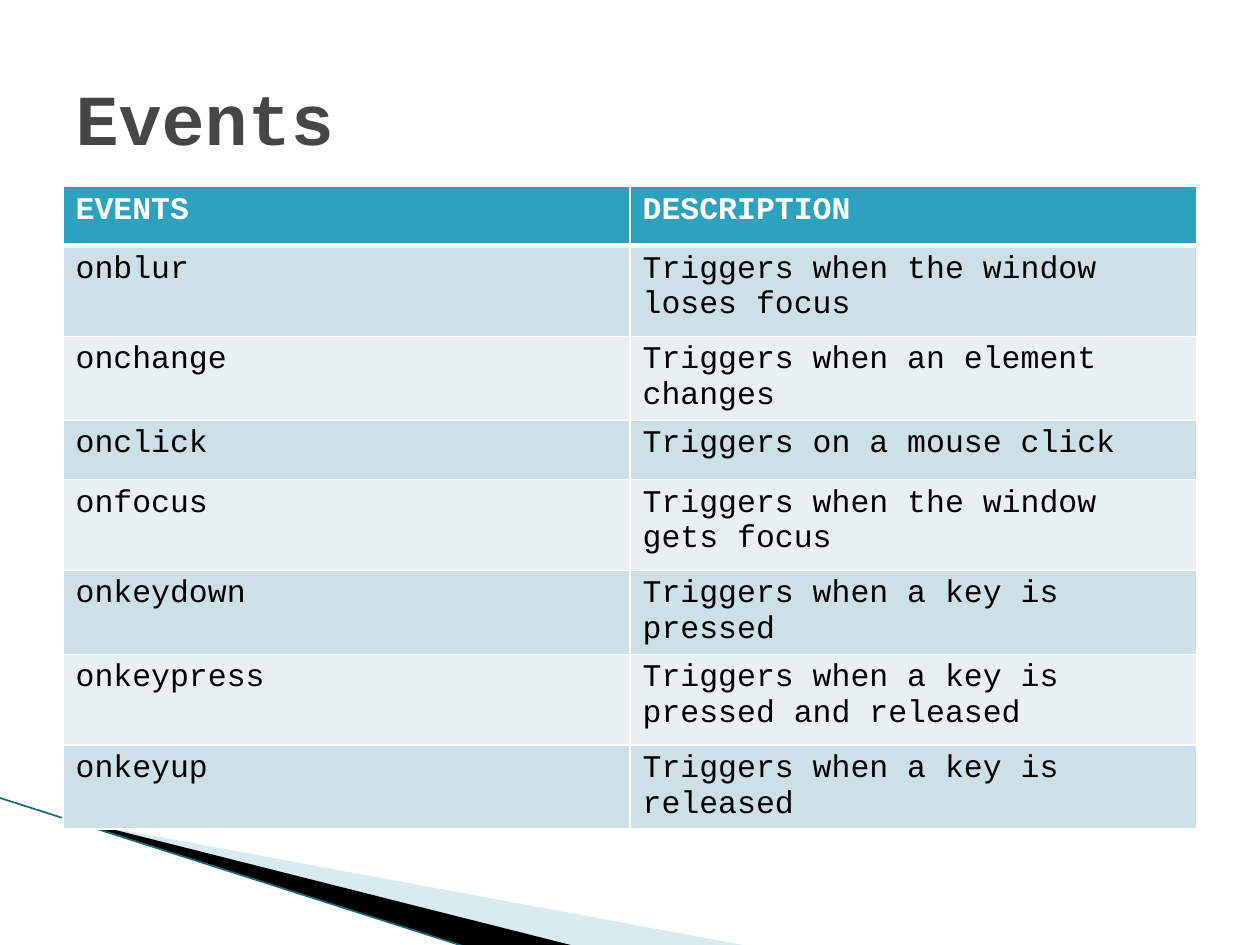
from dataclasses import dataclass

from lxml import etree
from pptx import Presentation
from pptx.dml.color import RGBColor
from pptx.enum.shapes import MSO_CONNECTOR
from pptx.enum.text import MSO_ANCHOR, PP_ALIGN
from pptx.oxml.ns import qn
from pptx.util import Inches, Pt

STRAIGHT = MSO_CONNECTOR.STRAIGHT
MIDDLE, LEFT = MSO_ANCHOR.MIDDLE, PP_ALIGN.LEFT
TITLE_ONLY = 5


@dataclass(frozen=True)
class Theme:
    font: str = "Courier New"
    title_size: float = 41
    body_size: float = 18
    title: str = "464646"
    text: str = "000000"
    white: str = "FFFFFF"
    header: str = "2DA2BF"
    bands: tuple = ("CDE0E8", "E8F0F4")
    pale_wedge: str = "A0CBDC"
    dark_wedge: str = "000000"
    edge: str = "16697C"


THEME = Theme()
MARGIN, CONTENT_W = 0.5, 9
TABLE_TOP = 1.48
SHORT, TALL = 0.47, 0.72

# Event, description, row height
EVENTS = [
    ("onblur", "Triggers when the window loses focus", TALL),
    ("onchange", "Triggers when an element changes", SHORT),
    ("onclick", "Triggers on a mouse click", SHORT),
    ("onfocus", "Triggers when the window gets focus", TALL),
    ("onkeydown", "Triggers when a key is pressed", SHORT),
    ("onkeypress", "Triggers when a key is pressed and released", TALL),
    ("onkeyup", "Triggers when a key is released", SHORT),
]


def rgb(color):
    return RGBColor.from_string(color)


def write(tf, text, size=THEME.body_size, color=THEME.text, bold=False):
    p = tf.paragraphs[0]
    p.alignment = LEFT
    r = p.add_run()
    r.text = text
    r.font.name = THEME.font
    r.font.size = Pt(size)
    r.font.bold = bold
    r.font.color.rgb = rgb(color)


def set_frame(sp, frame):
    """Give a freeform its own frame; the outline may reach past it."""
    left, top, width, height = map(Inches, frame)
    dx, dy = sp.left - left, sp.top - top
    for outline in sp._element.iter(qn("a:path")):
        outline.set("w", str(width))
        outline.set("h", str(height))
        for pt in outline.iter(qn("a:pt")):
            pt.set("x", str(int(pt.get("x")) + dx))
            pt.set("y", str(int(pt.get("y")) + dy))
    sp.left, sp.top, sp.width, sp.height = left, top, width, height


def add_wedge(s, frame, points, color, alpha=None):
    pts = [(Inches(x), Inches(y)) for x, y in points]
    builder = s.shapes.build_freeform(*pts[0])
    builder.add_line_segments(pts[1:], close=True)
    sp = builder.convert_to_shape()
    set_frame(sp, frame)
    sp.shadow.inherit = False
    sp.fill.solid()
    sp.fill.fore_color.rgb = rgb(color)
    sp.line.fill.background()
    if alpha is not None:
        clr = sp.fill._xPr.find(qn("a:solidFill"))[0]
        etree.SubElement(clr, qn("a:alpha"), val=str(alpha * 1000))


def add_edge(s, start, end, color, width):
    line = s.shapes.add_connector(STRAIGHT, *map(Inches, start + end))
    line.line.color.rgb = rgb(color)
    line.line.width = Pt(width)
    etree.SubElement(line._element.spPr, qn("a:effectLst"))


def set_borders(cell, color, **widths):
    """Draw the named sides; borders come before the fill in tcPr."""
    tc_pr = cell._tc.get_or_add_tcPr()
    for i, (side, width) in enumerate(widths.items()):
        ln = etree.Element(qn(f"a:ln{side}"), w=str(Pt(width)))
        fill = etree.SubElement(ln, qn("a:solidFill"))
        etree.SubElement(fill, qn("a:srgbClr"), val=color)
        tc_pr.insert(i, ln)


def add_title(s, text):
    sp = s.shapes.title
    sp.left, sp.top = Inches(MARGIN), Inches(0.3)
    sp.width, sp.height = Inches(CONTENT_W), Inches(1.25)
    sp.text_frame.vertical_anchor = MIDDLE
    write(sp.text_frame, text, size=THEME.title_size, color=THEME.title,
          bold=True)


def add_events_table(s):
    rows = [("EVENTS", "DESCRIPTION", SHORT)] + EVENTS
    height = sum(row[-1] for row in rows)
    table = s.shapes.add_table(
        len(rows), 2, Inches(MARGIN), Inches(TABLE_TOP),
        Inches(CONTENT_W), Inches(height)).table
    for i, (*texts, row_h) in enumerate(rows):
        header = i == 0
        # A thicker rule parts the header from the first event
        top, bottom = (3 if i == 1 else 1), (3 if header else 1)
        table.rows[i].height = Inches(row_h)
        for cell, text in zip(table.rows[i].cells, texts):
            cell.fill.solid()
            cell.fill.fore_color.rgb = rgb(
                THEME.header if header else THEME.bands[(i - 1) % 2])
            set_borders(cell, THEME.white, L=1, R=1, T=top, B=bottom)
            write(cell.text_frame, text, bold=header,
                  color=THEME.white if header else THEME.text)


def main():
    prs = Presentation()
    prs.slide_width, prs.slide_height = Inches(10), Inches(7.5)
    s = prs.slides.add_slide(prs.slide_layouts[TITLE_ONLY])

    # Corner decoration
    add_wedge(s, (0.78, 5.47, 4.16, 1.58),
              [(0.55, 6.51), (5.95, 7.51), (4.56, 7.51), (0.55, 6.5)],
              THEME.pale_wedge, alpha=40)
    add_wedge(s, (-0.06, 6.33, 4.16, 0.92),
              [(0.53, 6.49), (4.57, 7.51), (3.72, 7.52), (0.54, 6.5)],
              THEME.dark_wedge)
    add_edge(s, (-0.01, 6.33), (3.71, 7.52), THEME.edge, 0.95)

    # Content
    add_events_table(s)
    add_title(s, "Events")
    prs.save("out.pptx")


if __name__ == "__main__":
    main()
